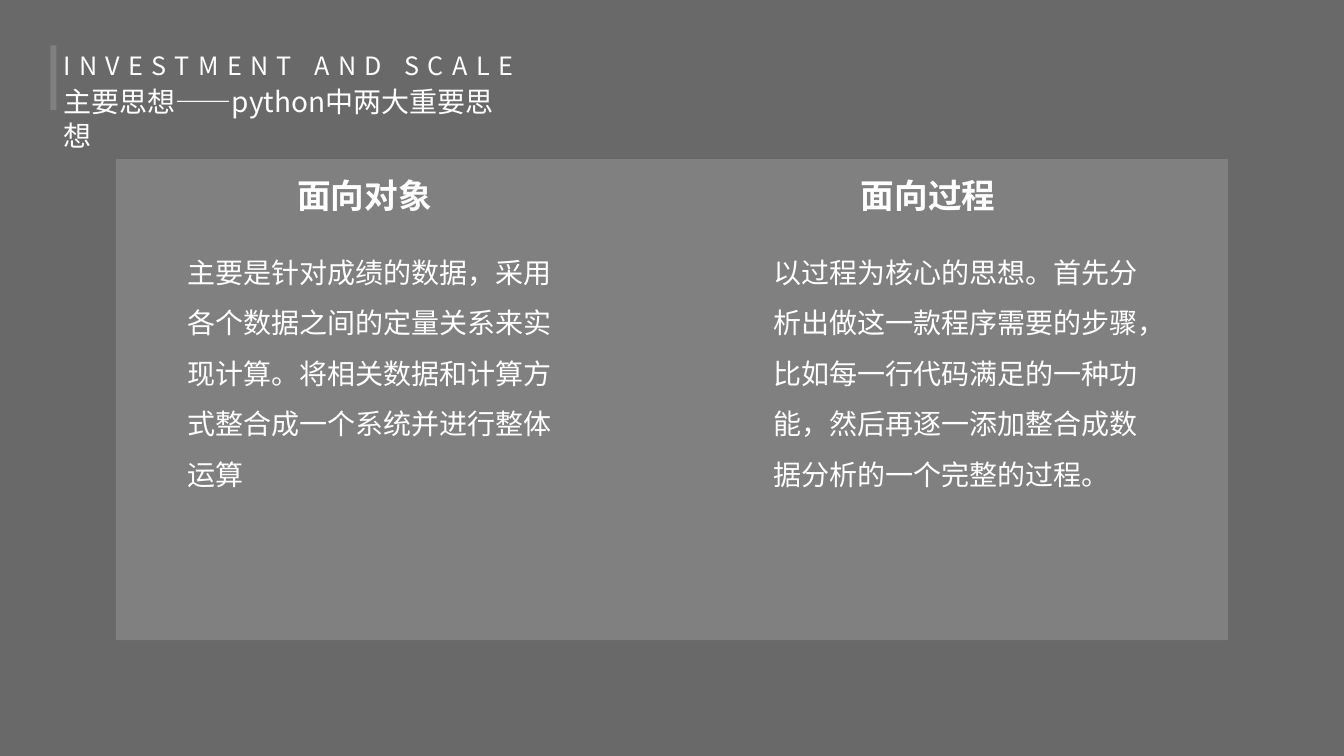
from pptx import Presentation
from pptx.dml.color import RGBColor
from pptx.enum.shapes import MSO_SHAPE as Preset
from pptx.enum.text import MSO_ANCHOR as Anchor, MSO_AUTO_SIZE as AutoSize, PP_ALIGN as Align
from pptx.oxml.ns import qn
from pptx.util import Inches

# Content
TITLE = "主要思想——python中两大重要思想"
KICKER = "INVESTMENT AND SCALE"
# heading, heading left and width, body, body left and width
COLUMNS = [
    ("面向对象", 2.05, 3.13,
     "主要是针对成绩的数据，采用各个数据之间的定量关系来实现计算。"
     "将相关数据和计算方式整合成一个系统并进行整体运算", 1.76, 3.9),
    ("面向过程", 8.27, 1.87,
     "以过程为核心的思想。首先分析出做这一款程序需要的步骤，"
     "比如每一行代码满足的一种功能，然后再逐一添加整合成数据分析的一个完整的过程。", 7.57, 3.97),
]

# Style and grid
FONT = "Noto Sans CJK SC"
BACKDROP, PANEL, WHITE = "696969", "808080", "FFFFFF"
WIDTH, HEIGHT = 13.33, 7.5
HEADER_LEFT, HEADER_TOP = 0.53, 0.45
HEADING_ROW, BODY_ROW = (1.69, 0.5), (2.32, 2.6)  # top, height


def color(value):
    return RGBColor.from_string(value)


def place(shape, left, top, width, height):
    shape.left, shape.top = Inches(left), Inches(top)
    shape.width, shape.height = Inches(width), Inches(height)


def add_block(slide, *box):
    block = slide.shapes.add_shape(Preset.RECTANGLE, *map(Inches, box))
    block.shadow.inherit = False
    block.fill.solid()
    block.fill.fore_color.rgb = color(PANEL)
    block.line.fill.background()


def write(shape, text, size, bold=False, align=Align.LEFT, line_spacing=None, tracking=0):
    frame = shape.text_frame
    frame.word_wrap = True
    frame.auto_size = AutoSize.NONE
    frame.vertical_anchor = Anchor.TOP
    frame.text = text
    paragraph = frame.paragraphs[0]
    paragraph.alignment = align
    paragraph.line_spacing = line_spacing
    font = paragraph.font
    font.size, font.bold, font.name = Inches(size / 72), bold, FONT
    font.color.rgb = color(WHITE)
    # East Asian typeface and letter spacing
    properties = paragraph.runs[0].font._element
    properties.makeelement(qn("a:ea"), {})
    east_asian = properties.makeelement(qn("a:ea"), {"typeface": FONT})
    properties.append(east_asian)
    if tracking:
        properties.set("spc", str(tracking * 100))


def add_text(slide, box, text, size, **style):
    write(slide.shapes.add_textbox(*map(Inches, box)), text, size, **style)


presentation = Presentation()
presentation.slide_width, presentation.slide_height = Inches(WIDTH), Inches(HEIGHT)
slide = presentation.slides.add_slide(presentation.slide_layouts[5])
slide.background.fill.solid()
slide.background.fill.fore_color.rgb = color(BACKDROP)

# Header
add_block(slide, 0.5, HEADER_TOP, 0.06, 0.64)
add_text(slide, (HEADER_LEFT, HEADER_TOP, 6.13, 0.71), KICKER, 18, tracking=6)
title = slide.shapes.title
place(title, HEADER_LEFT, 0.79, 4.74, 0.43)
write(title, TITLE, 20)

# Panel with two columns
add_block(slide, 1.15, 1.58, 11.03, 4.77)
for heading, heading_left, heading_width, body, body_left, body_width in COLUMNS:
    top, height = HEADING_ROW
    add_text(slide, (heading_left, top, heading_width, height), heading, 24,
             bold=True, align=Align.CENTER)
    top, height = BODY_ROW
    add_text(slide, (body_left, top, body_width, height), body, 20, line_spacing=1.5)

presentation.save("out.pptx")
